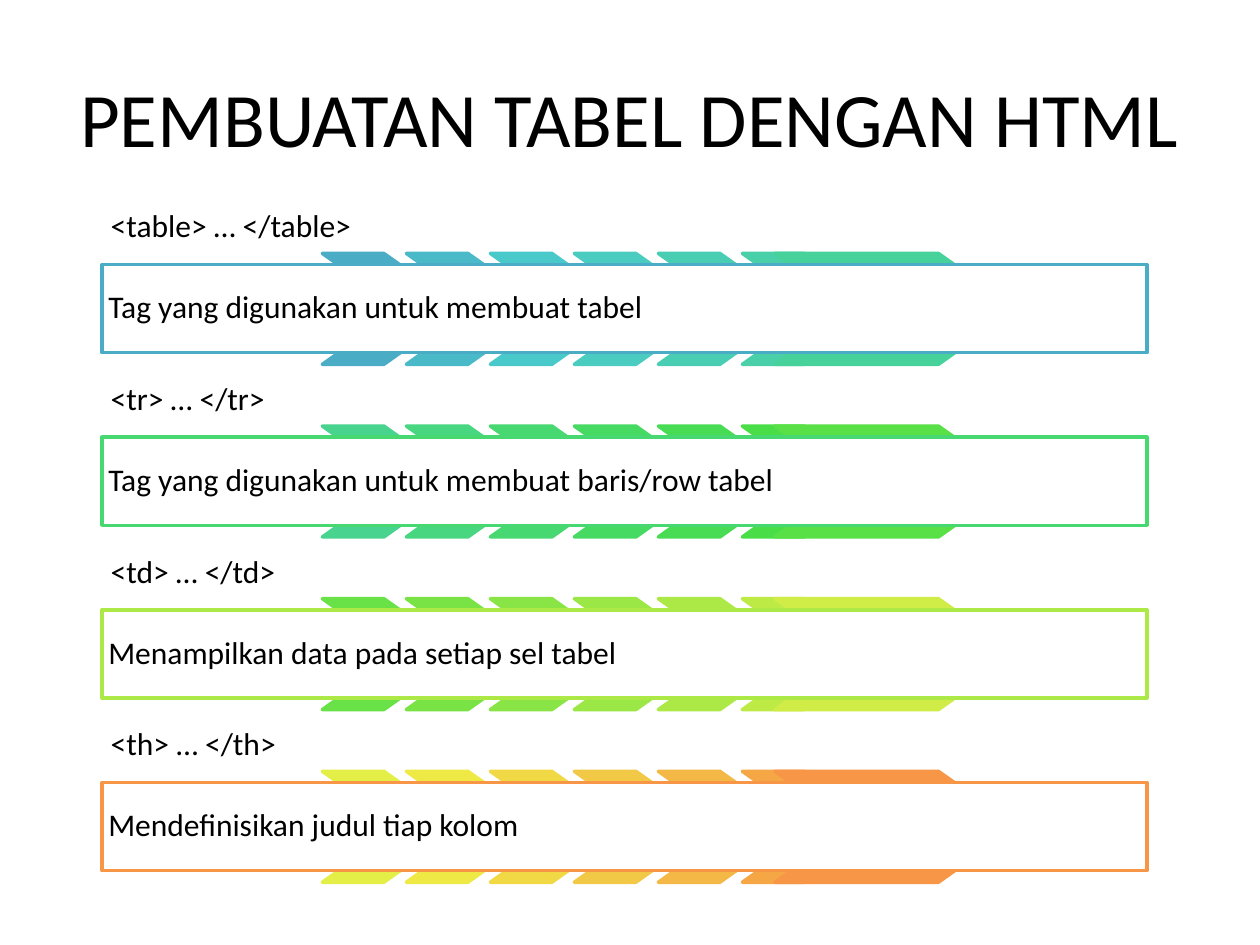
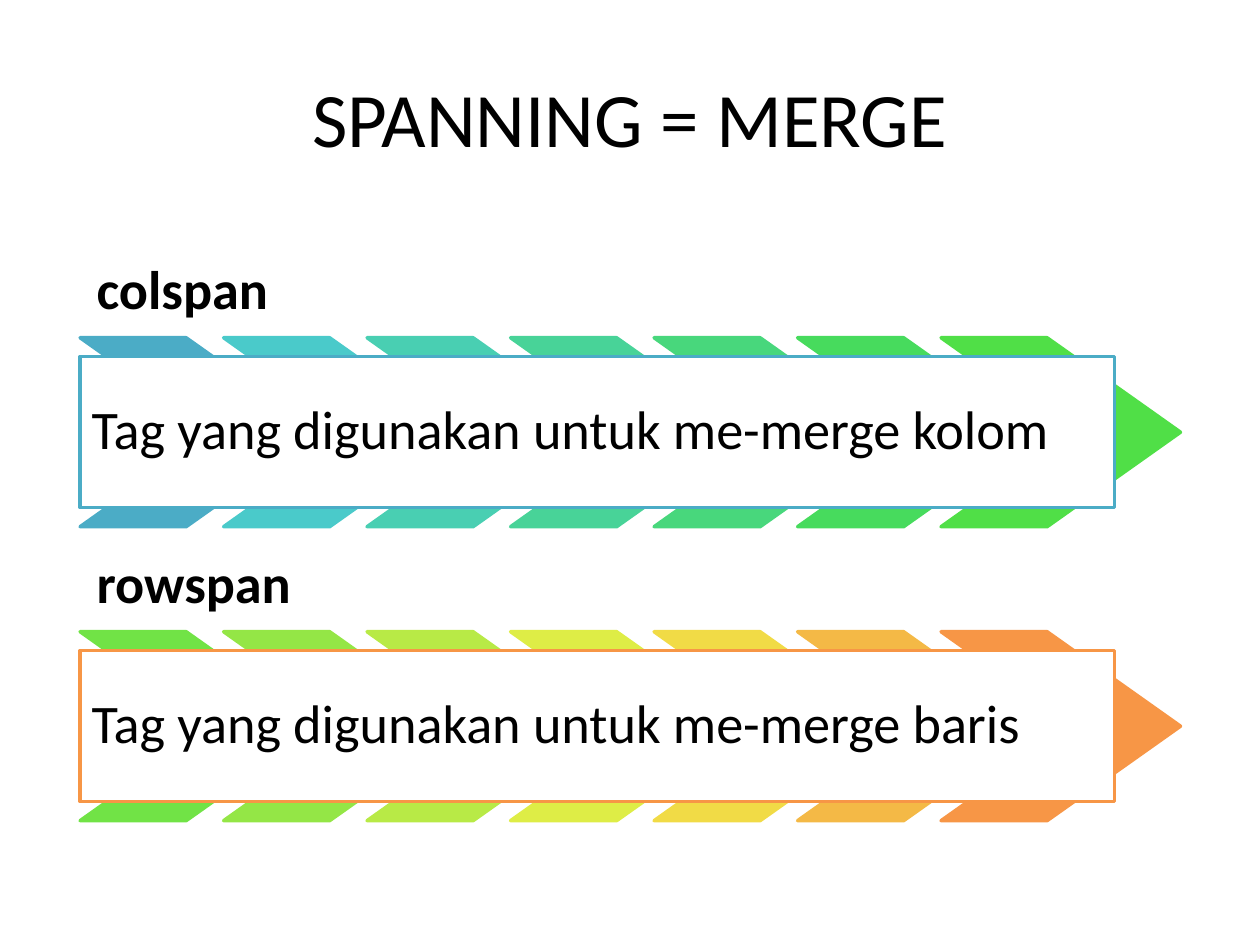
from colorsys import hls_to_rgb, rgb_to_hls

from pptx import Presentation
from pptx.dml.color import RGBColor
from pptx.enum.shapes import MSO_SHAPE
from pptx.enum.text import MSO_ANCHOR, PP_ALIGN
from pptx.util import Pt

CHEVRON, RECTANGLE = MSO_SHAPE.CHEVRON, MSO_SHAPE.RECTANGLE
MIDDLE, BOTTOM = MSO_ANCHOR.MIDDLE, MSO_ANCHOR.BOTTOM
LEFT, CENTER = PP_ALIGN.LEFT, PP_ALIGN.CENTER

COLORS = {
    "text": "000000",
    "panel": "FFFFFF",
    "first": "4BACC6",
    "last": "F79646",
}
FONT = "Calibri"
CHEVRONS_PER_ROW = 7

TAGS = [
    ("<table> … </table>", "Tag yang digunakan untuk membuat tabel"),
    ("<tr> … </tr>", "Tag yang digunakan untuk membuat baris/row tabel"),
    ("<td> … </td>", "Menampilkan data pada setiap sel tabel"),
    ("<th> … </th>", "Mendefinisikan judul tiap kolom"),
]
SPANS = [
    ("colspan", "Tag yang digunakan untuk me-merge kolom"),
    ("rowspan", "Tag yang digunakan untuk me-merge baris"),
]

# Sizes in points; panel_top is measured from the top of its row
TAG_LAYOUT = {
    "left": 58.3, "top": 113.8, "pitch": 98.64, "size": 18, "bold": False,
    "label_width": 341, "label_height": 31, "label_inset": 5,
    "chevron_left": 184.2, "chevron_step": 48, "chevron_width": 79.9,
    "chevron_height": 63.4, "last_left": 442.8, "last_width": 138.2,
    "panel_top": 37.4, "panel_width": 597, "panel_height": 50.4, "panel_inset": 3.6,
}
SPAN_LAYOUT = {
    "left": 45.8, "top": 139.7, "pitch": 168, "size": 31, "bold": True,
    "label_width": 583, "label_height": 53.3, "label_inset": 9.4,
    "chevron_left": 45.8, "chevron_step": 82, "chevron_width": 136.8,
    "chevron_height": 108, "last_left": 537.8, "last_width": 136.8,
    "panel_top": 64, "panel_width": 591, "panel_height": 86.4, "panel_inset": 6.5,
}


def color_scale(count):
    """Blend the two end colours evenly in hue, lightness and saturation."""
    first, last = (
        rgb_to_hls(*(channel / 255 for channel in RGBColor.from_string(COLORS[name])))
        for name in ("first", "last"))
    scale = []
    for index in range(count):
        share = index / (count - 1)
        rgb = hls_to_rgb(*(a + (b - a) * share for a, b in zip(first, last)))
        scale.append("".join(f"{round(channel * 255):02X}" for channel in rgb))
    return scale


class Deck:
    def __init__(self):
        self.presentation = Presentation()
        self.presentation.slide_width = Pt(720)
        self.presentation.slide_height = Pt(540)
        self.slide = None

    def add_slide(self, title):
        self.slide = self.presentation.slides.add_slide(self.presentation.slide_layouts[6])
        self.text_box(title, (36, 21.6, 648, 90), 44, MIDDLE, CENTER)

    def set_text(self, shape, text, size, anchor, align=LEFT, inset=None, spacing=1.0,
                 bold=False):
        frame = shape.text_frame
        frame.word_wrap = True
        frame.vertical_anchor = anchor
        if inset is not None:
            frame.margin_left = frame.margin_right = Pt(inset)
            frame.margin_top = frame.margin_bottom = Pt(inset)
        paragraph = frame.paragraphs[0]
        paragraph.text = text
        paragraph.alignment = align
        paragraph.line_spacing = spacing
        font = paragraph.font
        font.name, font.size, font.bold = FONT, Pt(size), bold
        font.color.rgb = RGBColor.from_string(COLORS["text"])

    def text_box(self, text, box, *style, **options):
        shape = self.slide.shapes.add_textbox(*map(Pt, box))
        self.set_text(shape, text, *style, **options)

    def outlined(self, kind, box, fill, line):
        shape = self.slide.shapes.add_shape(kind, *map(Pt, box))
        shape.shadow.inherit = False
        shape.fill.solid()
        shape.fill.fore_color.rgb = RGBColor.from_string(fill)
        shape.line.color.rgb = RGBColor.from_string(line)
        shape.line.width = Pt(2)
        return shape

    def chevron(self, box, color):
        self.outlined(CHEVRON, box, color, color).adjustments[0] = 0.706

    def row(self, label, description, top, layout, chevron_colors, panel_color):
        left, size = layout["left"], layout["size"]
        # Label above the band
        self.text_box(label, (left, top, layout["label_width"], layout["label_height"]),
                      size, BOTTOM, inset=layout["label_inset"], spacing=0.9,
                      bold=layout["bold"])
        # Band of chevrons, the last one with its own place and width
        places = [(layout["chevron_left"] + index * layout["chevron_step"],
                   layout["chevron_width"]) for index in range(CHEVRONS_PER_ROW - 1)]
        places.append((layout["last_left"], layout["last_width"]))
        for (chevron_left, width), color in zip(places, chevron_colors):
            self.chevron((chevron_left, top + layout["label_height"], width,
                          layout["chevron_height"]), color)
        # Description panel over the band
        panel = self.outlined(RECTANGLE, (left, top + layout["panel_top"],
                                          layout["panel_width"], layout["panel_height"]),
                              COLORS["panel"], panel_color)
        self.set_text(panel, description, size, MIDDLE, inset=layout["panel_inset"],
                      spacing=0.9)

    def rows(self, entries, layout):
        scale = color_scale(len(entries) * CHEVRONS_PER_ROW)
        panel_step = (len(scale) - 1) // (len(entries) - 1)
        for index, (label, description) in enumerate(entries):
            start = index * CHEVRONS_PER_ROW
            self.row(label, description, layout["top"] + index * layout["pitch"], layout,
                     scale[start:start + CHEVRONS_PER_ROW], scale[index * panel_step])


def main():
    deck = Deck()
    # Slide 1: table tags
    deck.add_slide("PEMBUATAN TABEL DENGAN HTML")
    deck.rows(TAGS, TAG_LAYOUT)
    # Slide 2: merging cells
    deck.add_slide("SPANNING = MERGE")
    deck.rows(SPANS, SPAN_LAYOUT)
    deck.presentation.save("out.pptx")


if __name__ == "__main__":
    main()
